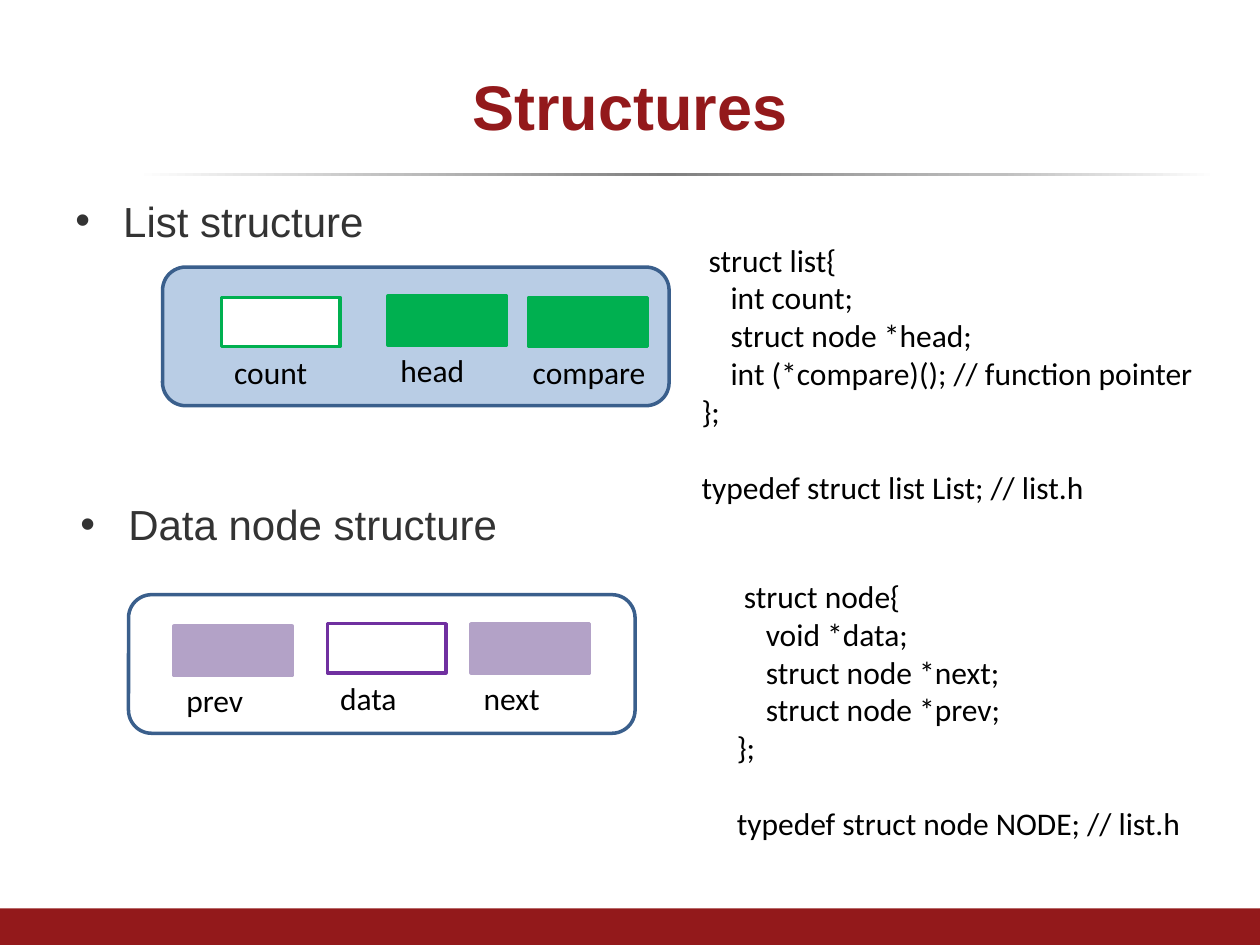
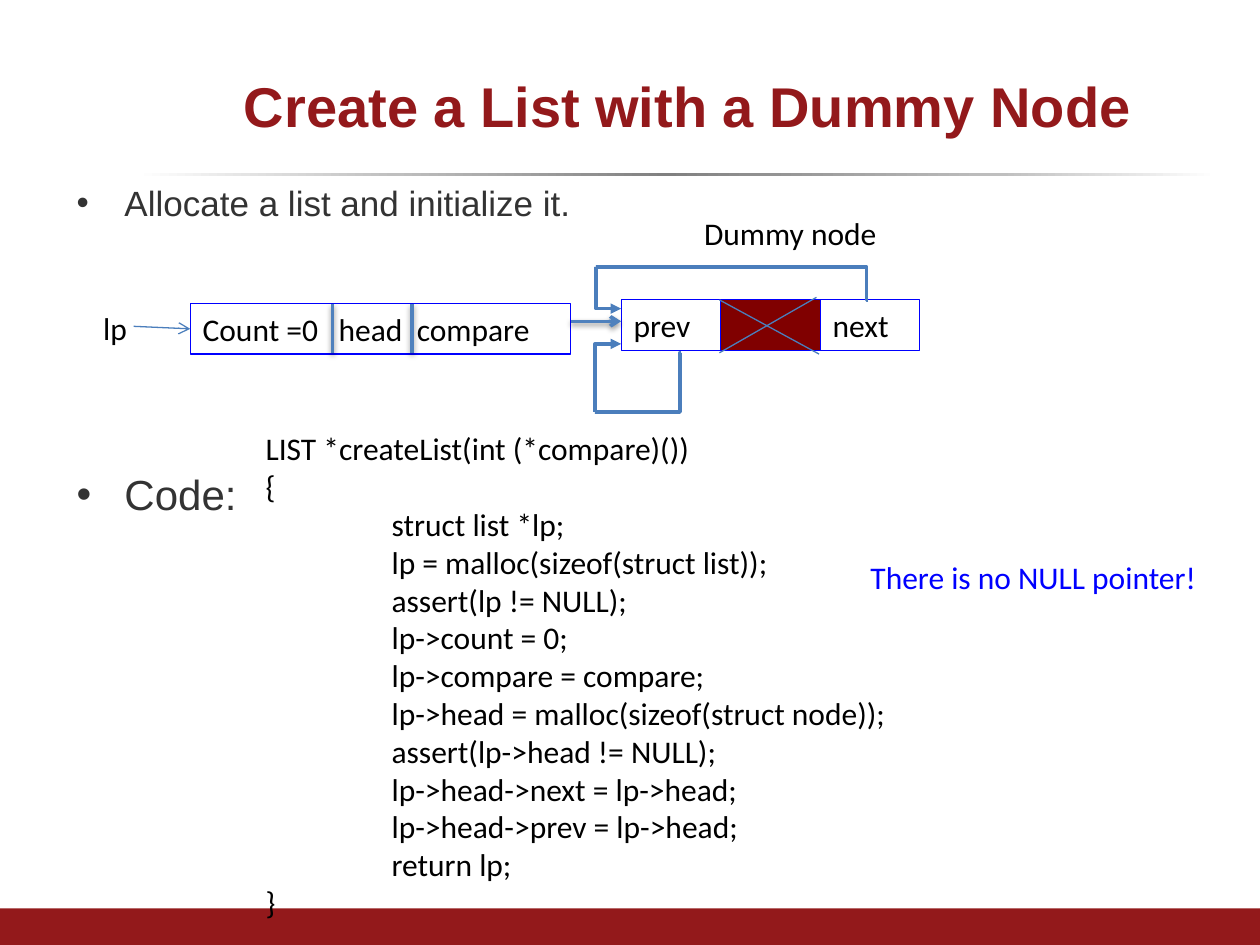
"""Build two slides on the structures behind a linked list."""
from typing import NamedTuple, Optional, Sequence

from lxml.etree import SubElement
from pptx import Presentation
from pptx.dml.color import RGBColor
from pptx.enum.shapes import MSO_CONNECTOR, MSO_SHAPE
from pptx.enum.text import MSO_ANCHOR, MSO_AUTO_SIZE, PP_ALIGN
from pptx.oxml.ns import qn
from pptx.util import Inches, Pt

RECT, ROUND = MSO_SHAPE.RECTANGLE, MSO_SHAPE.ROUNDED_RECTANGLE
LINE, ELBOW = MSO_CONNECTOR.STRAIGHT, MSO_CONNECTOR.ELBOW
MIDDLE, CENTER = MSO_ANCHOR.MIDDLE, PP_ALIGN.CENTER
FIT, FIXED = MSO_AUTO_SIZE.SHAPE_TO_FIT_TEXT, MSO_AUTO_SIZE.NONE

RED = RGBColor(0x93, 0x19, 0x1B)
MAROON = RGBColor(0x80, 0x00, 0x00)
GRAY = RGBColor(0x33, 0x33, 0x33)
BLACK = RGBColor(0x00, 0x00, 0x00)
WHITE = RGBColor(0xFF, 0xFF, 0xFF)
BLUE = RGBColor(0x00, 0x00, 0xFF)
PALE = RGBColor(0xB9, 0xCD, 0xE5)
NAVY = RGBColor(0x3A, 0x5F, 0x8C)
STEEL = RGBColor(0x4B, 0x7E, 0xBC)
SKY = RGBColor(0x4F, 0x81, 0xBD)
GREEN = RGBColor(0x00, 0xB0, 0x50)
PURPLE = RGBColor(0x70, 0x30, 0xA0)
LILAC = RGBColor(0xB3, 0xA2, 0xC7)

FADE = ((0, "FFFFFF"), (24, "BFBFBF"), (49, "808080"), (80, "BFBFBF"), (100, "FFFFFF"))
HEAD, BODY = "Arial", "Calibri"
ROW, CELL = 0.4, 0.79
HANG = 0.38

LIST_CODE = (" struct list{", "\tint count;", "\tstruct node *head;",
             "\tint (*compare)(); // function pointer", "};", "",
             "typedef struct list List; // list.h")
NODE_CODE = (" struct node{", "\tvoid *data;", "\tstruct node *next;",
             "\tstruct node *prev;", "};", "",
             "typedef struct node NODE; // list.h")
MAKE_CODE = ("LIST *createList(int (*compare)())", "{", "\tstruct list *lp;",
             "\tlp = malloc(sizeof(struct list));", "\tassert(lp != NULL);",
             "\tlp->count = 0;", "\tlp->compare = compare;",
             "\tlp->head = malloc(sizeof(struct node));",
             "\tassert(lp->head != NULL);", "\tlp->head->next = lp->head;",
             "\tlp->head->prev = lp->head;", "\treturn lp;", "}")


class Field(NamedTuple):
    """A labelled member of a structure."""
    name: str
    left: float
    top: float
    fill: RGBColor
    edge: RGBColor
    shift: float = 0


class Link(NamedTuple):
    """A line from one point to another."""
    start: tuple[float, float]
    end: tuple[float, float]
    color: RGBColor = STEEL
    width: float = 2
    tip: str = ""
    bent: bool = False
    shade: bool = False


class Point(NamedTuple):
    """A bulleted line."""
    words: str
    size: float
    gap: float = 2


FIELDS = (
    Field("count", 1.76, 2.36, WHITE, GREEN),
    Field("head", 3.08, 2.35, GREEN, GREEN),
    Field("compare", 4.2, 2.36, GREEN, GREEN, 0.07),
    Field("prev", 1.38, 4.97, LILAC, LILAC),
    Field("data", 2.6, 4.95, WHITE, PURPLE),
    Field("next", 3.74, 4.95, LILAC, LILAC),
)
LINKS = (
    Link((2.64, 2.41), (2.64, 2.8), SKY, shade=True),
    Link((3.27, 2.41), (3.27, 2.8), SKY, shade=True),
    Link((4.53, 2.55), (4.93, 2.55), SKY, tip="arrow", shade=True),
    Link((6.89, 2.38), (4.73, 2.12), bent=True),
    Link((4.73, 2.12), (4.93, 2.45), tip="triangle", bent=True),
    Link((5.4, 2.8), (4.72, 3.27), bent=True),
    Link((4.72, 3.27), (4.93, 2.73), tip="triangle", bent=True),
    Link((5.71, 2.38), (6.5, 2.81), width=0.75),
    Link((6.48, 2.36), (5.71, 2.8), width=0.75),
    Link((1.06, 2.59), (1.51, 2.61), width=0.75, tip="arrow"),
)


def style(run, size: float, font: str, color: RGBColor, bold: bool = False) -> None:
    """Set the look of a run."""
    run.font.size, run.font.name, run.font.bold = Pt(size), font, bold
    run.font.color.rgb = color


def text(slide, lines: Sequence[str], left: float, top: float, width: float,
         height: float = ROW, *, size: float = 18, font: str = BODY,
         color: RGBColor = BLACK, step: float = 0.23, tabs: Sequence[float] = (),
         edge: Optional[RGBColor] = None) -> None:
    """Write lines; a leading tab indents and an empty line leaves a gap."""
    box = slide.shapes.add_textbox(Inches(left), Inches(top), Inches(width), Inches(height))
    if edge is not None:
        box.line.color.rgb, box.line.width = edge, Pt(0.75)
    frame = box.text_frame
    frame.word_wrap, frame.auto_size = True, FIT
    para, gap = frame.paragraphs[0], False
    for i, line in enumerate(lines):
        if not line:
            gap = True
            continue
        if i:
            para = frame.add_paragraph()
        if gap:
            para.space_before, gap = Pt(size * 1.22), False
        props = para._p.get_or_add_pPr()
        if line.startswith("\t"):
            props.set("marL", str(Inches(step)))
            props.set("indent", "0")
        if tabs:
            stops = SubElement(props, qn("a:tabLst"))
            for stop in tabs:
                SubElement(stops, qn("a:tab"), pos=str(Inches(stop)), algn="l")
        run = para.add_run()
        run.text = line.removeprefix("\t")
        style(run, size, font, color)


def points(slide, items: Sequence[Point], left: float, top: float, height: float) -> None:
    """Write bulleted lines with hanging indents."""
    box = slide.shapes.add_textbox(Inches(left), Inches(top), Inches(9), Inches(height))
    frame = box.text_frame
    frame.word_wrap = True
    for i, item in enumerate(items):
        para = frame.add_paragraph() if i else frame.paragraphs[0]
        para.space_before = Pt(item.gap)
        props = para._p.get_or_add_pPr()
        props.set("marL", str(Inches(HANG)))
        props.set("indent", str(Inches(-HANG)))
        SubElement(props, qn("a:buFont"), typeface=HEAD)
        SubElement(props, qn("a:buChar"), char="•")
        run = para.add_run()
        run.text = item.words
        style(run, item.size, HEAD, GRAY)


def block(slide, left: float, top: float, width: float, height: float, *,
          kind=RECT, fill: Optional[RGBColor] = None,
          edge: Optional[RGBColor] = None, line: float = 2):
    """Draw a flat shape."""
    shape = slide.shapes.add_shape(kind, Inches(left), Inches(top), Inches(width), Inches(height))
    shape.shadow.inherit = False
    if fill is None:
        shape.fill.background()
    else:
        shape.fill.solid()
        shape.fill.fore_color.rgb = fill
    if edge is None:
        shape.line.fill.background()
    else:
        shape.line.color.rgb, shape.line.width = edge, Pt(line)
    return shape


def member(slide, field: Field) -> None:
    """Draw a field with its label below."""
    block(slide, field.left, field.top, 0.94, 0.39, fill=field.fill, edge=field.edge)
    text(slide, [field.name], field.left - field.shift, field.top + 0.39,
         1.02 + 2 * field.shift)


def join(slide, link: Link) -> None:
    """Draw a straight or bent line."""
    ends = [Inches(n) for n in (*link.start, *link.end)]
    wire = slide.shapes.add_connector(ELBOW if link.bent else LINE, *ends)
    wire.line.color.rgb, wire.line.width = link.color, Pt(link.width)
    props = wire.element.spPr
    if link.bent:
        guides = props.find(qn("a:prstGeom")).get_or_add_avLst()
        SubElement(guides, qn("a:gd"), name="adj1", fmla="val 500")
    if link.tip:
        SubElement(props.find(qn("a:ln")), qn("a:tailEnd"), type=link.tip)
    glow = SubElement(props, qn("a:effectLst"))
    if link.shade:
        cast = SubElement(glow, qn("a:outerShdw"), blurRad=str(Pt(3.1)),
                          dist=str(Pt(1.6)), dir="5400000", rotWithShape="0")
        tint = SubElement(cast, qn("a:srgbClr"), val="000000")
        SubElement(tint, qn("a:alpha"), val="38000")


def frame(slide) -> None:
    """Move the rule and the bottom band into the layout."""
    rule = block(slide, 1.08, 1.37, 8.58, 0.03)
    rule.fill.gradient()
    rule.fill.gradient_angle = 0
    stops = rule.element.spPr.find(".//" + qn("a:gsLst"))
    for stop in list(stops):
        stops.remove(stop)
    for pos, tone in FADE:
        stop = SubElement(stops, qn("a:gs"), pos=str(pos * 1000))
        SubElement(stop, qn("a:srgbClr"), val=tone)
    band = block(slide, 0, 7.21, 10, 0.29, fill=RED)
    tree = slide.slide_layout.shapes.element
    for shape in (band, rule):
        tree.insert(2, shape.element)


def start(deck, words: str, left: float, size: float):
    """Add a slide with its title."""
    slide = deck.slides.add_slide(deck.slide_layouts[5])
    title = slide.shapes.title
    title.left, title.top = Inches(left), Inches(0.3)
    title.width, title.height = Inches(9), Inches(1.07)
    title.text_frame.auto_size = FIXED
    title.text_frame.vertical_anchor = MIDDLE
    para = title.text_frame.paragraphs[0]
    para.alignment = CENTER
    run = para.add_run()
    run.text = words
    style(run, size, HEAD, RED, True)
    return slide


def structs(deck) -> None:
    """Build the slide on both structures."""
    slide = start(deck, "Structures", 0.5, 36)
    frame(slide)
    points(slide, [Point("List structure", 24)], 0.5, 1.5, 2.2)
    points(slide, [Point("Data node structure", 24)], 0.54, 3.91, 3.2)
    block(slide, 1.29, 2.12, 4.02, 1.1, kind=ROUND, fill=PALE, edge=NAVY)
    block(slide, 1.02, 4.72, 4.02, 1.1, kind=ROUND, edge=NAVY)
    for field in FIELDS:
        member(slide, field)
    text(slide, LIST_CODE, 5.47, 1.86, 4.53, 2.22)
    text(slide, NODE_CODE, 5.75, 4.53, 3.94, 2.52)


def create(deck) -> None:
    """Build the slide on making a list."""
    slide = start(deck, "Create a List with a Dummy Node", 0.96, 32)
    points(slide, [Point("Allocate a list and initialize it.", 20),
                   Point("Code:", 24, 140)], 0.51, 1.39, 5.67)
    text(slide, MAKE_CODE, 2.01, 3.36, 7.26, 4.04, step=1)
    text(slide, ["Count =0\thead\tcompare"], 1.51, 2.41, 3.02, tabs=(1.08, 1.7), edge=BLUE)
    text(slide, ["Dummy node"], 5.49, 1.65, 1.6)
    for i, name in enumerate(("prev", "", "next")):
        left = 4.93 + i * CELL
        if name:
            text(slide, [name], left, 2.38, CELL, edge=BLUE)
        else:
            block(slide, left, 2.38, CELL, ROW, fill=MAROON, edge=BLUE, line=0.75)
    text(slide, ["lp"], 0.72, 2.4, CELL)
    text(slide, ["There is no NULL pointer!"], 6.81, 4.38, 2.91, color=BLUE)
    for link in LINKS:
        join(slide, link)


def main() -> None:
    """Build and save the deck."""
    deck = Presentation()
    deck.slide_width, deck.slide_height = Inches(10), Inches(7.5)
    structs(deck)
    create(deck)
    deck.save("out.pptx")


if __name__ == "__main__":
    main()
